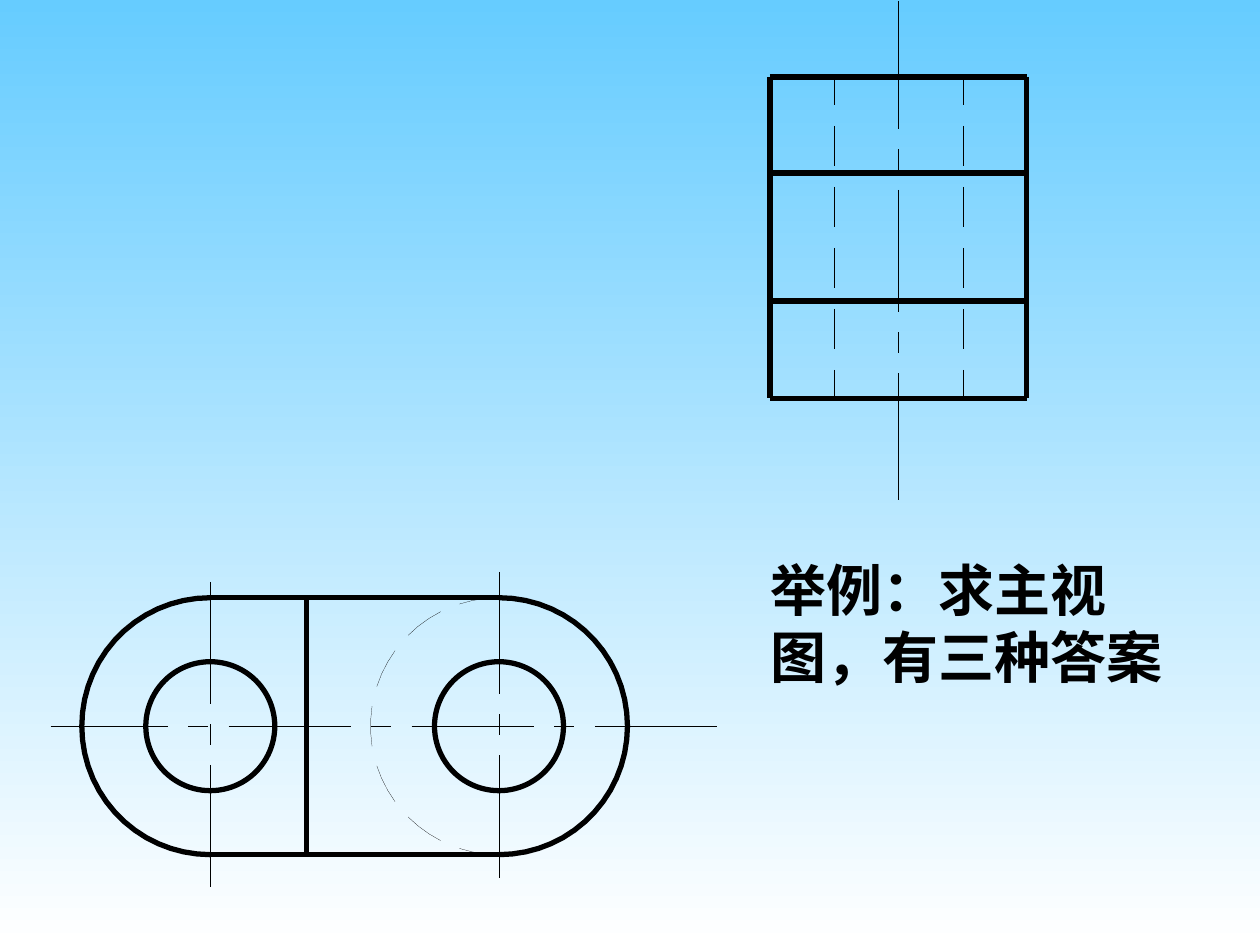
import math
from pptx import Presentation
from pptx import util as u
from pptx.dml.color import RGBColor
from pptx.enum import shapes, text
from pptx.oxml.ns import qn
from lxml import etree

# Content: all lengths in cm
NOTE = "举例：求主视图，有三种答案"
NOTE_BOX = (15.29, 11.07, 9.42, 2.97)

BIG, HOLE = 2.59, 1.3                 # radii of round end and hole
LEFT, RIGHT, MID_Y = 4.24, 10.06, 14.64
WALL = 6.18                           # step edge in the top view
SIDE_X = 18.11                        # axis of the side view
ROWS = (1.55, 3.49, 6.07, 8.03)       # level edges of the side view
CHAIN, DASH = 2.46, 0.41              # long run; dot, gap and half dash

# Axes: direction, fixed place, start, end, first run
AXES = [
    ("h", MID_Y, 1.02, 14.45, 2.36),
    ("v", LEFT, 11.73, 17.88, CHAIN),
    ("v", RIGHT, 11.53, 17.70, CHAIN),
    ("v", SIDE_X, 0.03, 10.08, 2.57),
]

THEME = {
    "ink": RGBColor(0, 0, 0),
    "sky": (RGBColor(0x66, 0xCC, 0xFF), RGBColor(0xFF, 0xFF, 0xFF)),
    "font": "Times New Roman",
    "size": u.Pt(32),
    "thick": u.Pt(3),
    "thin": u.Pt(0.1),
}

prs = Presentation()
prs.slide_width, prs.slide_height = u.Cm(25.4), u.Cm(19.05)
slide = prs.slides.add_slide(prs.slide_layouts[6])
parts = slide.shapes


def ink(shape, pen):
    shape.line.color.rgb = THEME["ink"]
    shape.line.width = THEME[pen]


def line(x1, y1, x2, y2, pen="thick"):
    rule = parts.add_connector(shapes.MSO_CONNECTOR.STRAIGHT,
                               u.Cm(x1), u.Cm(y1), u.Cm(x2), u.Cm(y2))
    ink(rule, pen)
    etree.SubElement(rule._element.spPr, qn("a:effectLst"))


def clear(shape, pen):
    shape.fill.background()
    shape.shadow.inherit = False
    ink(shape, pen)


def circle(x, y, r):
    clear(parts.add_shape(shapes.MSO_SHAPE.OVAL, u.Cm(x - r), u.Cm(y - r),
                          u.Cm(2 * r), u.Cm(2 * r)), "thick")


def arc(x, y, r, start, sweep, pen="thick"):
    """Open arc; degrees run anticlockwise from the right."""
    count = max(3, round(abs(sweep) / 6))
    turns = [math.radians(start + sweep * i / count) for i in range(count + 1)]
    dots = [(u.Cm(x + r * math.cos(t)), u.Cm(y - r * math.sin(t)))
            for t in turns]
    path = parts.build_freeform(*dots[0])
    path.add_line_segments(dots[1:], close=False)
    clear(path.convert_to_shape(), pen)


def chain(start, end, first):
    """Long runs with a dot between each two."""
    step = CHAIN + 3 * DASH
    count = round((end - start + 3 * DASH) / step)
    runs, here = [], start
    for i in range(count):
        stop = start + first + i * step if i < count - 1 else end
        runs.append((here, stop))
        if i < count - 1:
            runs.append((stop + DASH, stop + 2 * DASH))
        here = stop + 3 * DASH
    return runs


def dashes(low, high, count, half):
    """Even dashes about the middle, cut at both ends."""
    mids = [(low + high) / 2 + (i - (count - 1) / 2) * 3 * half
            for i in range(count)]
    return [(max(low, m - half), min(high, m + half)) for m in mids]


# Background
fill = slide.background.fill
fill.gradient()
fill.gradient_angle = 270
for stop, tone in zip(fill.gradient_stops, THEME["sky"]):
    stop.color.rgb = tone

# Axes
for way, at, start, end, first in AXES:
    for a, b in chain(start, end, first):
        line(*((a, at, b, at) if way == "h" else (at, a, at, b)), pen="thin")

# Top view: holes, round ends, straight edges
for x, start in ((LEFT, 90), (RIGHT, -90)):
    circle(x, MID_Y, HOLE)
    arc(x, MID_Y, BIG, start, 180)
top, base = MID_Y - BIG, MID_Y + BIG
for y in (top, base):
    line(LEFT, y, RIGHT, y)
line(WALL, top, WALL, base)

# Top view: hidden round end
for a, b in dashes(90, 270, 7, 9):
    arc(RIGHT, MID_Y, BIG, a, b - a, "thin")

# Side view: outline, steps and hidden hole
for y in ROWS:
    line(SIDE_X - BIG, y, SIDE_X + BIG, y)
for sign in (-1, 1):
    edge, hid = SIDE_X + sign * BIG, SIDE_X + sign * HOLE
    line(edge, ROWS[0], edge, ROWS[-1])
    for a, b in dashes(ROWS[0], ROWS[-1], 6, DASH):
        line(hid, a, hid, b, "thin")

# Note: the comma may not hang past the margin
frame = parts.add_textbox(*map(u.Cm, NOTE_BOX)).text_frame
frame.word_wrap = True
frame.auto_size = text.MSO_AUTO_SIZE.SHAPE_TO_FIT_TEXT
para = frame.paragraphs[0]
para.text = NOTE
para._p.get_or_add_pPr().set("hangingPunct", "0")
para.font.name, para.font.size = THEME["font"], THEME["size"]
para.font.bold = True
para.font.color.rgb = THEME["ink"]

prs.save("out.pptx")
